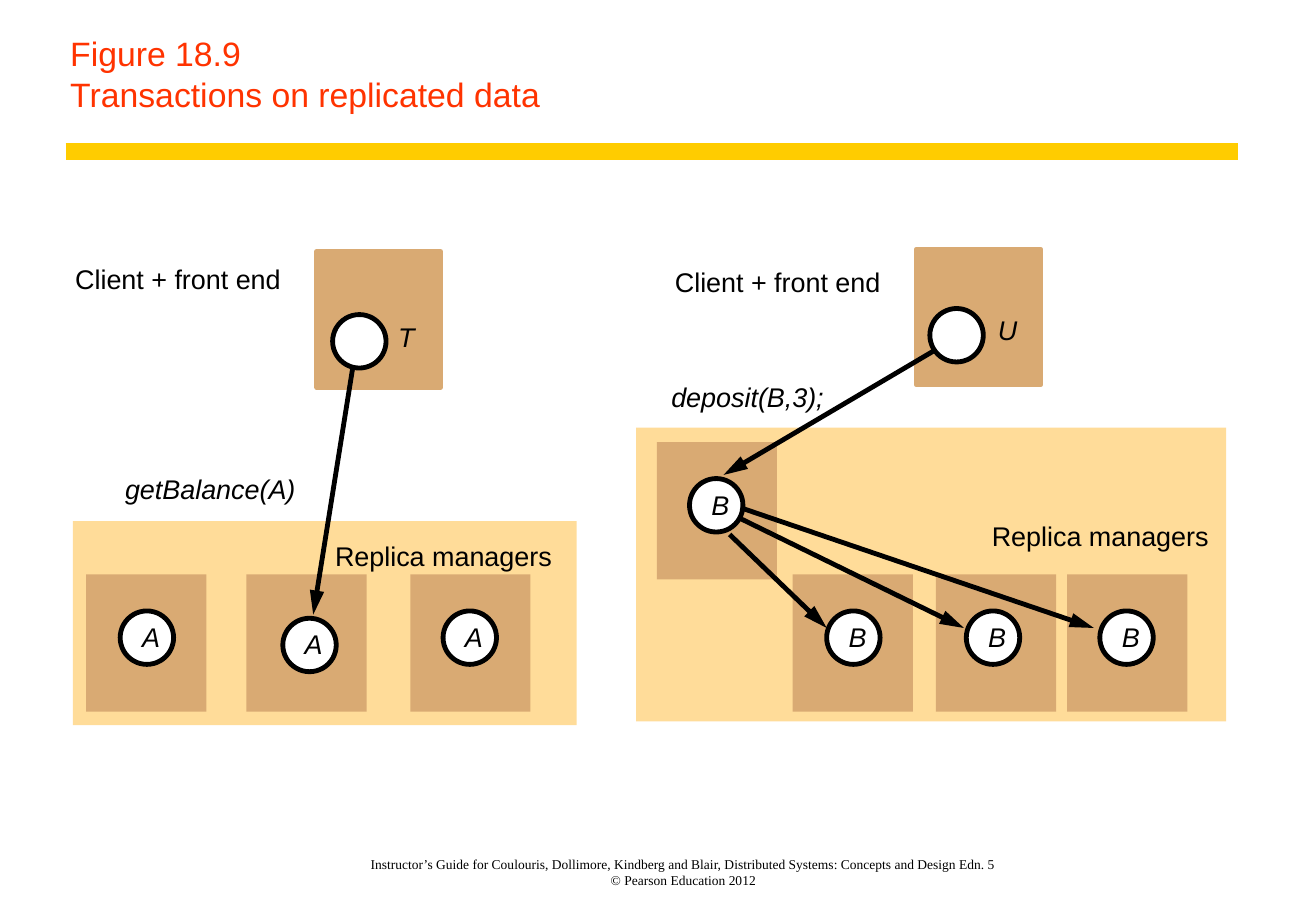
from copy import deepcopy
from pptx import Presentation
from pptx.dml.color import RGBColor
from pptx.enum.shapes import MSO_CONNECTOR as CONN, MSO_SHAPE as SHAPE
from pptx.enum.text import MSO_ANCHOR as ANCHOR, PP_ALIGN as ALIGN
from pptx.oxml.ns import qn
from pptx.util import Inches, Pt
from lxml.etree import SubElement

COLORS = {"title": "FF3300", "rule": "FFCC00", "panel": "FFDC99",
          "box": "D9AA73", "ink": "000000", "white": "FFFFFF"}
TITLE = "Figure 18.9\nTransactions on replicated data"
FOOTER = ("Instructor’s Guide for Coulouris, Dollimore, Kindberg and Blair, "
          "Distributed Systems: Concepts and Design Edn. 5\n"
          "© Pearson Education 2012")
PANELS = [(5.24, 3.52, 4.86, 2.42), (0.6, 4.29, 4.15, 1.68)]
CLIENTS = [(2.61, 2.07), (7.55, 2.05)]
CLIENT_SIZE = (1.02, 1.12)
REPLICA_SIZE = (0.99, 1.13)
CIRCLE_SIZE = (0.44, 0.44)
REPLICAS = [
    ("A", (0.71, 4.73), (0.99, 5.03)),
    ("A", (2.03, 4.73), (2.33, 5.09)),
    ("A", (3.38, 4.73), (3.65, 5.03)),
    ("B", (5.41, 3.64), (5.68, 3.94)),
    ("B", (6.53, 4.73), (6.81, 5.03)),
    ("B", (7.71, 4.73), (7.96, 5.03)),
    ("B", (8.79, 4.73), (9.06, 5.03)),
]
LETTER_OFFSET = (0.18, 0.08)
TRANSACTIONS = [(2.74, 2.59), (7.66, 2.54)]
LABELS = [
    ("Client + front end", (0.62, 2.16), 1.7, False),
    ("Client + front end", (5.56, 2.19), 1.7, False),
    ("Replica managers", (2.76, 4.44), 1.79, False),
    ("Replica managers", (8.17, 4.28), 1.79, False),
    ("getBalance(A)", (1.03, 3.89), 1.41, True),
    ("deposit(B,3);", (5.53, 3.13), 1.26, True),
    ("T", (3.28, 2.64), 0.14, True),
    ("U", (8.22, 2.58), 0.16, True),
]
ARROWS = [
    ((2.91, 3), (2.58, 5.06)),
    ((7.69, 2.89), (5.96, 3.91)),
    ((6.1, 4.18), (9.01, 5.17)),
    ((6.1, 4.27), (7.94, 5.17)),
    ((6.01, 4.4), (6.81, 5.17)),
]
STROKE = 2.86

prs = Presentation()
prs.slide_width, prs.slide_height = Inches(10.84), Inches(7.5)
s = prs.slides.add_slide(prs.slide_layouts[6])


def color(name):
    return RGBColor.from_string(COLORS[name])


def add_text(text, at, size, ink="ink", font="Arial", italic=False,
             insets=(0, 0, 0, 0), anchor=ANCHOR.TOP, align=ALIGN.LEFT, wrap=False):
    tf = s.shapes.add_textbox(*map(Inches, at)).text_frame
    left, top, right, bottom = map(Inches, insets)
    frame = {"margin_left": left, "margin_top": top, "margin_right": right,
             "margin_bottom": bottom, "vertical_anchor": anchor, "word_wrap": wrap}
    for key, value in frame.items():
        setattr(tf, key, value)
    p = tf.paragraphs[0]
    p.text = text
    p.alignment = align
    for r in p.runs:
        for key, value in {"size": Pt(size), "name": font, "italic": italic}.items():
            setattr(r.font, key, value)
        r.font.color.rgb = color(ink)
    for br in p._p.findall(qn("a:br")):
        br.insert(0, deepcopy(p.runs[0]._r.rPr))


def add_box(kind, at, fill, line=None):
    sp = s.shapes.add_shape(kind, *map(Inches, at))
    sp.shadow.inherit = False
    sp.fill.solid()
    sp.fill.fore_color.rgb = color(fill)
    if line:
        sp.line.color.rgb = color(line)
        sp.line.width = Pt(STROKE)
    else:
        sp.line.fill.background()


def add_line(start, end, ink, width, arrow=False):
    c = s.shapes.add_connector(CONN.STRAIGHT, *map(Inches, start + end))
    c.line.color.rgb = color(ink)
    c.line.width = Pt(width)
    if arrow:
        SubElement(c.line._get_or_add_ln(), qn("a:tailEnd"),
                   type="triangle", w="med", len="lg")
    SubElement(c._element.spPr, qn("a:effectLst"))


def add_circle(spot):
    add_box(SHAPE.OVAL, spot + CIRCLE_SIZE, "white", "ink")


add_text(FOOTER, (2.35, 6.92, 6.6, 0.39), 8, font="Times New Roman",
         insets=(0, 0, 0.04, 0), anchor=ANCHOR.BOTTOM, align=ALIGN.CENTER, wrap=True)
add_line((0.54, 1.25), (10.2, 1.25), "rule", 10)
add_text(TITLE, (0.48, 0, 9.72, 1), 20, ink="title",
         insets=(0.1, 0.06, 0.14, 0.06), anchor=ANCHOR.BOTTOM, wrap=True)

for panel in PANELS:
    add_box(SHAPE.RECTANGLE, panel, "panel")
for client in CLIENTS:
    add_box(SHAPE.RECTANGLE, client + CLIENT_SIZE, "box", "box")
for letter, box, circle in REPLICAS:
    add_box(SHAPE.RECTANGLE, box + REPLICA_SIZE, "box")
    add_circle(circle)
    x, y = (a + b for a, b in zip(circle, LETTER_OFFSET))
    add_text(letter, (x, y, 0.15, 0.27), 16, italic=True)
for text, spot, width, italic in LABELS:
    add_text(text, spot + (width, 0.27), 16, italic=italic)
for start, end in ARROWS:
    add_line(start, end, "ink", STROKE, arrow=True)
for spot in TRANSACTIONS:
    add_circle(spot)

prs.save("out.pptx")
